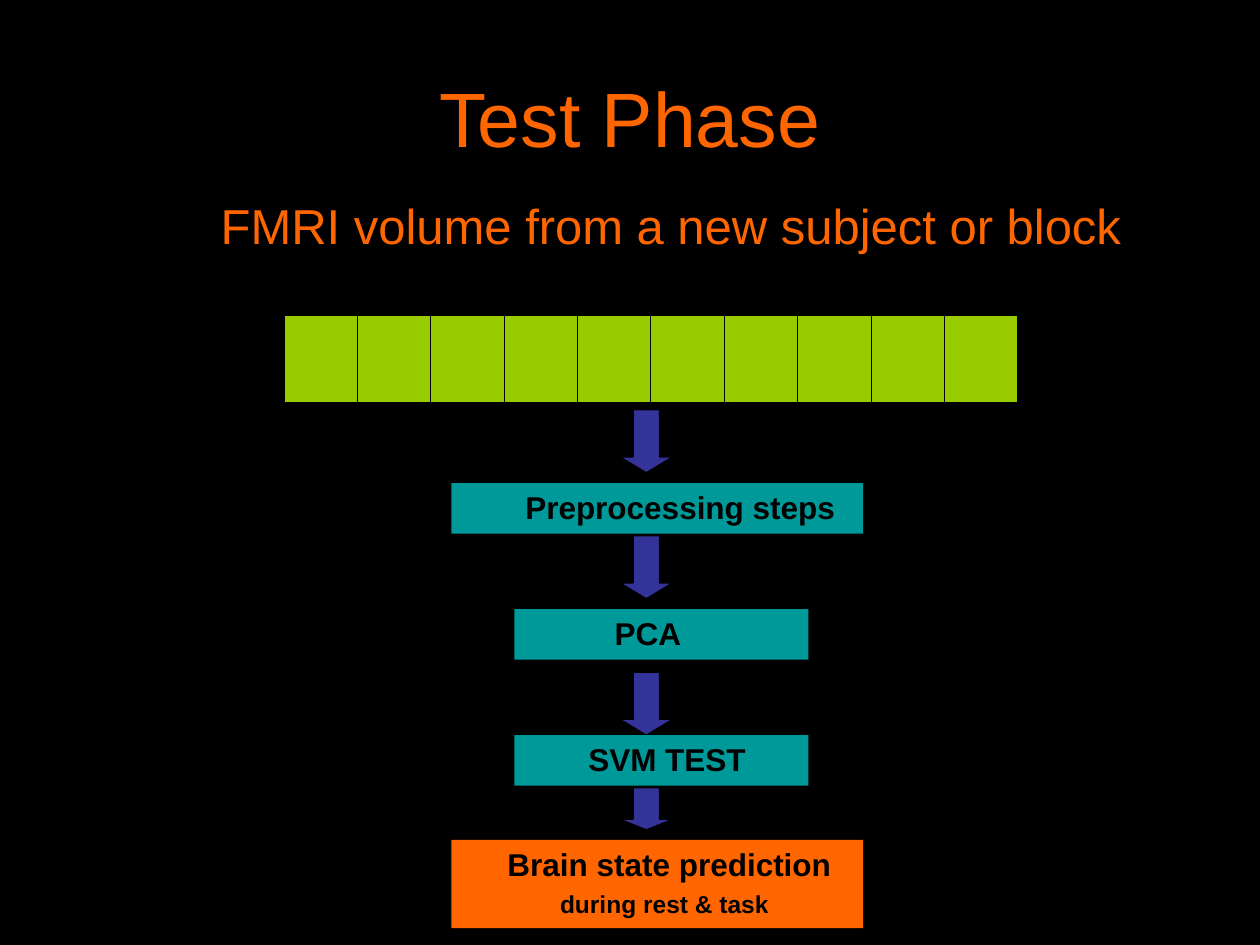
import pptx
import pptx.dml.color
import pptx.enum.shapes
import pptx.enum.text
import pptx.oxml
import pptx.oxml.ns
import pptx.util
from pptx.util import Cm, Pt

BLACK, ORANGE, TEAL, INDIGO, LIME = "000000", "FF6600", "009999", "333399", "99CC00"
INSETS = {"margin_left": Cm(0.25), "margin_right": Cm(0.25),
          "margin_top": Cm(0.13), "margin_bottom": Cm(0.13)}
CELL_COUNT = 10
ARROW_LEFT, ARROW_WIDTH = 12.5, 1.06
WIDE, NARROW = (9.1, 8.3), (10.37, 5.93)  # left and width of the boxes


def color(hex_string):
    return pptx.dml.color.RGBColor.from_string(hex_string)


def apply_format(target, values):
    for name, value in values.items():
        setattr(target, name, value)


def fill_solid(target, hex_string):
    target.fill.solid()
    target.fill.fore_color.rgb = color(hex_string)


def write_paragraph(paragraph, text, size, hex_string, bold=False, indent=0):
    run = paragraph.add_run()
    run.text = text
    apply_format(run.font, {"name": "Arial", "size": Pt(size), "bold": bold})
    run.font.color.rgb = color(hex_string)
    properties = paragraph._p.get_or_add_pPr()
    properties.set("marL", str(Cm(indent)))
    properties.set("indent", "0")
    properties.insert_element_before(
        pptx.oxml.parse_xml(f'<a:buNone {pptx.oxml.ns.nsdecls("a")}/>'),
        "a:tabLst", "a:defRPr", "a:extLst")


def fill_placeholder(placeholder, box, text, size, anchor, alignment, indent=0, before=0):
    left, top, width, height = map(Cm, box)
    apply_format(placeholder, {"left": left, "top": top, "width": width, "height": height})
    frame = placeholder.text_frame
    apply_format(frame, {**INSETS, "word_wrap": True, "vertical_anchor": anchor,
                         "auto_size": pptx.enum.text.MSO_AUTO_SIZE.NONE})
    paragraph = frame.paragraphs[0]
    apply_format(paragraph, {"alignment": alignment, "space_before": Pt(before)})
    write_paragraph(paragraph, text, size, ORANGE, indent=indent)


def set_border(cell, side, width):
    """Draw a black border on one side (L, R, T or B) of a cell."""
    border = pptx.oxml.parse_xml(
        f'<a:ln{side} {pptx.oxml.ns.nsdecls("a")} w="{Pt(width)}"><a:solidFill>'
        f'<a:srgbClr val="{BLACK}"/></a:solidFill></a:ln{side}>')
    properties = cell._tc.get_or_add_tcPr()
    fill = properties.find(pptx.oxml.ns.qn("a:solidFill"))
    fill.addprevious(border)


def add_volume_row(slide):
    table = slide.shapes.add_table(1, CELL_COUNT, Cm(5.72), Cm(6.35),
                                   Cm(14.8), Cm(1.78)).table
    apply_format(table, {"first_row": False, "horz_banding": False})
    for index, cell in enumerate(table.rows[0].cells):
        table.columns[index].width = Cm(1.48)
        fill_solid(cell, LIME)
        set_border(cell, "L", 1.08 if index == 0 else 0.45)
        set_border(cell, "R", 1.08 if index == CELL_COUNT - 1 else 0.45)
        set_border(cell, "T", 1.08)
        set_border(cell, "B", 1.08)


def add_block(slide, preset, box, hex_string):
    shape = slide.shapes.add_shape(preset, *map(Cm, box))
    shape.shadow.inherit = False
    fill_solid(shape, hex_string)
    return shape


def add_arrow(slide, top, height=1.27, head=0.3):
    arrow = add_block(slide, pptx.enum.shapes.MSO_SHAPE.DOWN_ARROW,
                      (ARROW_LEFT, top, ARROW_WIDTH, height), INDIGO)
    arrow.adjustments[1] = head
    arrow.line.color.rgb = color(BLACK)
    arrow.line.width = Pt(0.75)


def add_step(slide, span, top, height, hex_string, lines):
    """Add a box whose lines are (text, size, indent) tuples."""
    left, width = span
    step = add_block(slide, pptx.enum.shapes.MSO_SHAPE.RECTANGLE,
                     (left, top, width, height), hex_string)
    step.line.fill.background()
    frame = step.text_frame
    apply_format(frame, {**INSETS, "word_wrap": True,
                         "vertical_anchor": pptx.enum.text.MSO_ANCHOR.TOP})
    for index, (text, size, indent) in enumerate(lines):
        paragraph = frame.add_paragraph() if index else frame.paragraphs[0]
        apply_format(paragraph, {"alignment": pptx.enum.text.PP_ALIGN.LEFT,
                                 "line_spacing": Pt(20.7)})
        write_paragraph(paragraph, text, size, BLACK, bold=True, indent=indent)


def main():
    presentation = pptx.Presentation()
    apply_format(presentation, {"slide_width": Cm(25.4), "slide_height": Cm(19.05)})
    slide = presentation.slides.add_slide(presentation.slide_layouts[1])
    fill_solid(slide.background, BLACK)

    anchors, alignments = pptx.enum.text.MSO_ANCHOR, pptx.enum.text.PP_ALIGN
    fill_placeholder(slide.shapes.title, (1.27, 0.76, 22.86, 3.18), "Test Phase", 44,
                     anchors.MIDDLE, alignments.CENTER)
    fill_placeholder(slide.placeholders[1], (3.38, 3.81, 21.39, 1.47),
                     "FMRI volume from a new subject or block", 28,
                     anchors.TOP, alignments.LEFT, indent=0.82, before=7)
    add_volume_row(slide)

    for top in (8.26, 10.8, 13.55):
        add_arrow(slide, top)
    add_arrow(slide, 15.88, height=0.85, head=0.25)

    steps = [(WIDE, "Preprocessing steps", 1.24),
             (NARROW, "PCA", 1.77),
             (NARROW, "SVM TEST", 1.24)]
    for index, (span, text, indent) in enumerate(steps):
        add_step(slide, span, 9.74 + 2.54 * index, 1.02, TEAL, [(text, 18, indent)])
    add_step(slide, WIDE, 16.93, 1.78, ORANGE,
             [("Brain state prediction", 18, 0.88), ("during rest & task", 14, 1.94)])

    presentation.save("out.pptx")


if __name__ == "__main__":
    main()
